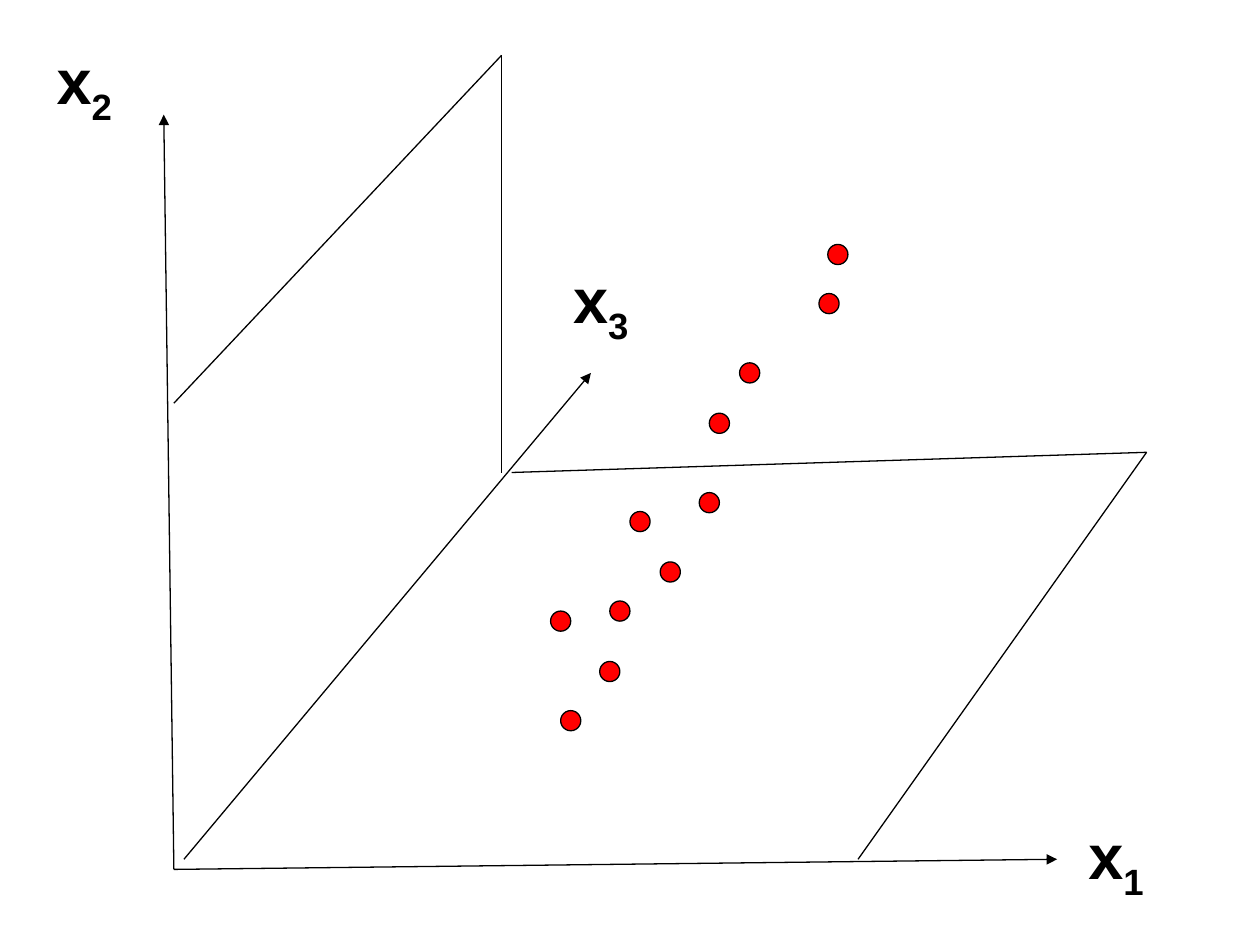
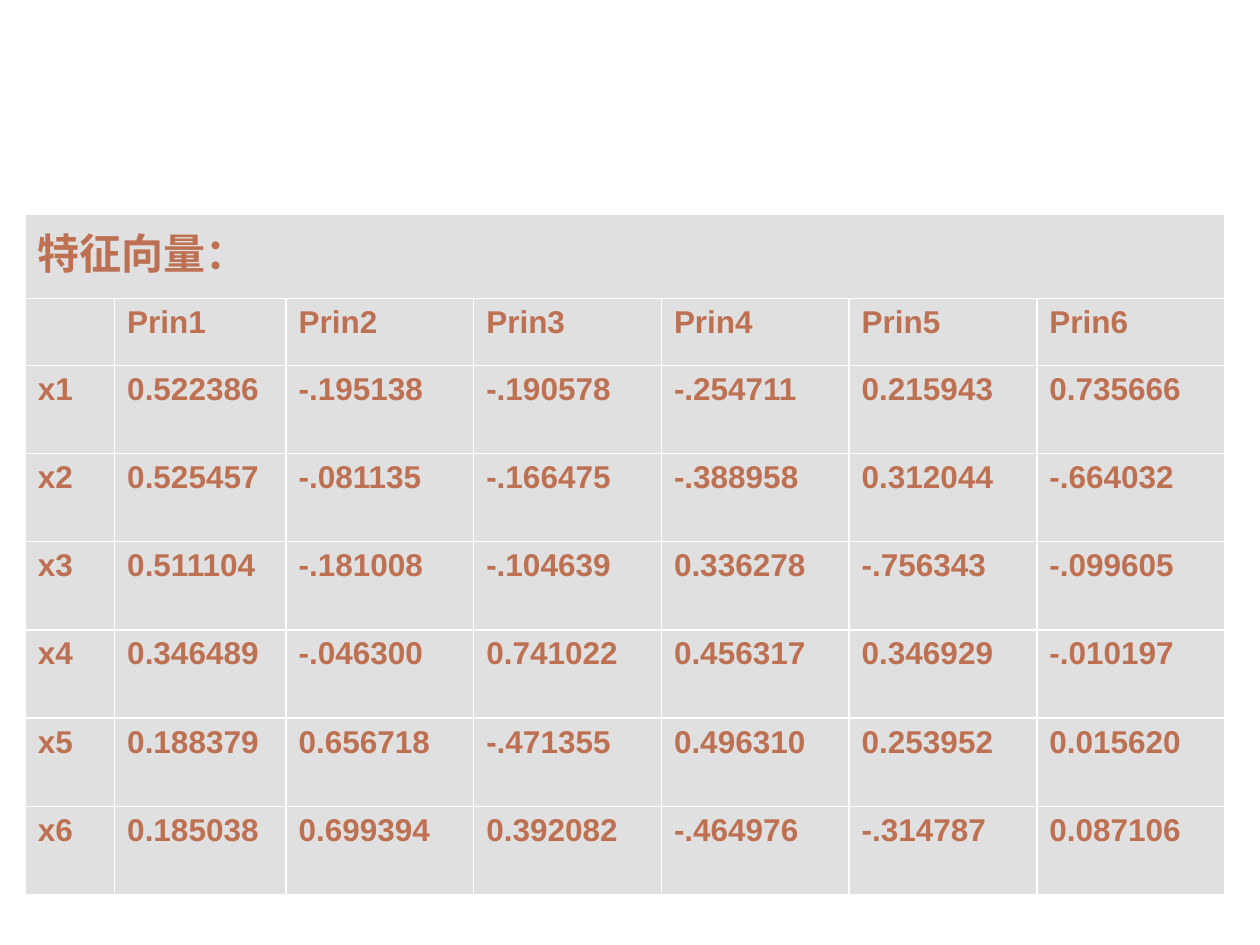
from lxml import etree
from pptx import Presentation
from pptx.dml.color import RGBColor
from pptx.enum.shapes import MSO_CONNECTOR, MSO_SHAPE
from pptx.enum.text import MSO_ANCHOR
from pptx.oxml.ns import qn
from pptx.util import Inches, Pt

FONT = "Arial"
BLACK, RED, RUST, GREY = "000000", "FF0000", "BD7152", "E0E0E0"
LINE_WIDTH = Pt(0.75)
DOT_SIZE = 0.16

# Diagram lengths are measured right of and up from the axes' origin.
WALL = [((2.6, 3.15), (2.6, 6.46)), ((2.6, 6.46), (0, 3.7))]
AXES = [((0, 0), (7.01, 0.08)), ((0, 0), (-0.08, 5.99)), ((0.08, 0.08), (3.31, 3.94))]
FLOOR = [((2.68, 3.15), (7.72, 3.31)), ((7.72, 3.31), (5.43, 0.08))]
OBSERVATIONS = [
    (3.94, 2.36), (3.46, 1.57), (5.2, 4.49), (3.15, 1.18), (4.57, 3.94), (3.7, 2.76),
    (4.33, 3.54), (5.27, 4.88), (4.25, 2.91), (3.54, 2.05), (3.07, 1.97),
]
AXIS_LABELS = {"1": (7.16, 0.47), "2": (-1.03, 6.62), "3": (3.07, 4.88)}

EIGENVECTORS = [
    ["0.522386", "-.195138", "-.190578", "-.254711", "0.215943", "0.735666"],
    ["0.525457", "-.081135", "-.166475", "-.388958", "0.312044", "-.664032"],
    ["0.511104", "-.181008", "-.104639", "0.336278", "-.756343", "-.099605"],
    ["0.346489", "-.046300", "0.741022", "0.456317", "0.346929", "-.010197"],
    ["0.188379", "0.656718", "-.471355", "0.496310", "0.253952", "0.015620"],
    ["0.185038", "0.699394", "0.392082", "-.464976", "-.314787", "0.087106"],
]


def rgb(hex_colour):
    return RGBColor.from_string(hex_colour)


def add_run(paragraph, text, size, colour):
    run = paragraph.add_run()
    run.text = text
    run.font.name = FONT
    run.font.size = Pt(size)
    run.font.bold = True
    run.font.color.rgb = rgb(colour)
    return run


def style_line(line):
    line.color.rgb = rgb(BLACK)
    line.width = LINE_WIDTH


def add_edge(slide, start, end, arrow=False):
    edge = slide.shapes.add_connector(
        MSO_CONNECTOR.STRAIGHT, *(Inches(length) for length in (*start, *end)))
    style_line(edge.line)
    if arrow:
        etree.SubElement(edge.line._get_or_add_ln(), qn("a:tailEnd"), type="triangle")
    etree.SubElement(edge._element.spPr, qn("a:effectLst"))


def add_observation(slide, centre):
    left, top = (Inches(length - DOT_SIZE / 2) for length in centre)
    dot = slide.shapes.add_shape(
        MSO_SHAPE.OVAL, left, top, Inches(DOT_SIZE), Inches(DOT_SIZE))
    dot.shadow.inherit = False
    dot.fill.solid()
    dot.fill.fore_color.rgb = rgb(RED)
    style_line(dot.line)


def add_axis_label(slide, number, corner):
    left, top = (Inches(length) for length in corner)
    frame = slide.shapes.add_textbox(left, top, Inches(1.02), Inches(0.79)).text_frame
    frame.word_wrap = True
    paragraph = frame.paragraphs[0]
    add_run(paragraph, "x", 36, BLACK)
    subscript = add_run(paragraph, number, 36, BLACK)
    subscript.font._element.set("baseline", "-25000")


def add_scatter_diagram(slide, origin_x, origin_y):
    """Draw a scatter of observations in three dimensions from the axes' origin."""
    def place(point):
        return origin_x + point[0], origin_y - point[1]

    for edges, arrow in ((WALL, False), (AXES, True), (FLOOR, False)):
        for start, end in edges:
            add_edge(slide, place(start), place(end), arrow)
    for centre in OBSERVATIONS:
        add_observation(slide, place(centre))
    for number, corner in AXIS_LABELS.items():
        add_axis_label(slide, number, place(corner))


def add_eigenvector_table(slide, left, top):
    widths = [0.71, 1.36] + [1.49] * 5
    heights = [0.67, 0.53] + [0.7] * 6
    table = slide.shapes.add_table(
        len(heights), len(widths), Inches(left), Inches(top),
        Inches(sum(widths)), Inches(sum(heights))).table
    table.first_row = table.horz_banding = False
    for column, width in zip(table.columns, widths):
        column.width = Inches(width)
    for row, height in zip(table.rows, heights):
        row.height = Inches(height)

    header = [""] + [f"Prin{number}" for number in range(1, 7)]
    body = [[f"x{number}", *values] for number, values in enumerate(EIGENVECTORS, 1)]
    rows = [["特征向量：", *[""] * 6], header, *body]
    for row_index, texts in enumerate(rows):
        for column_index, text in enumerate(texts):
            cell = table.cell(row_index, column_index)
            cell.fill.solid()
            cell.fill.fore_color.rgb = rgb(GREY)
            cell.vertical_anchor = MSO_ANCHOR.TOP
            if text:
                size = 18 if row_index else 24
                add_run(cell.text_frame.paragraphs[0], text, size, RUST)
    table.cell(0, 0).merge(table.cell(0, len(widths) - 1))


def main():
    presentation = Presentation()
    presentation.slide_width, presentation.slide_height = Inches(10), Inches(7.5)
    blank = presentation.slide_layouts[6]
    add_scatter_diagram(presentation.slides.add_slide(blank), 1.38, 6.9)
    add_eigenvector_table(presentation.slides.add_slide(blank), 0.2, 1.7)
    presentation.save("out.pptx")


if __name__ == "__main__":
    main()
